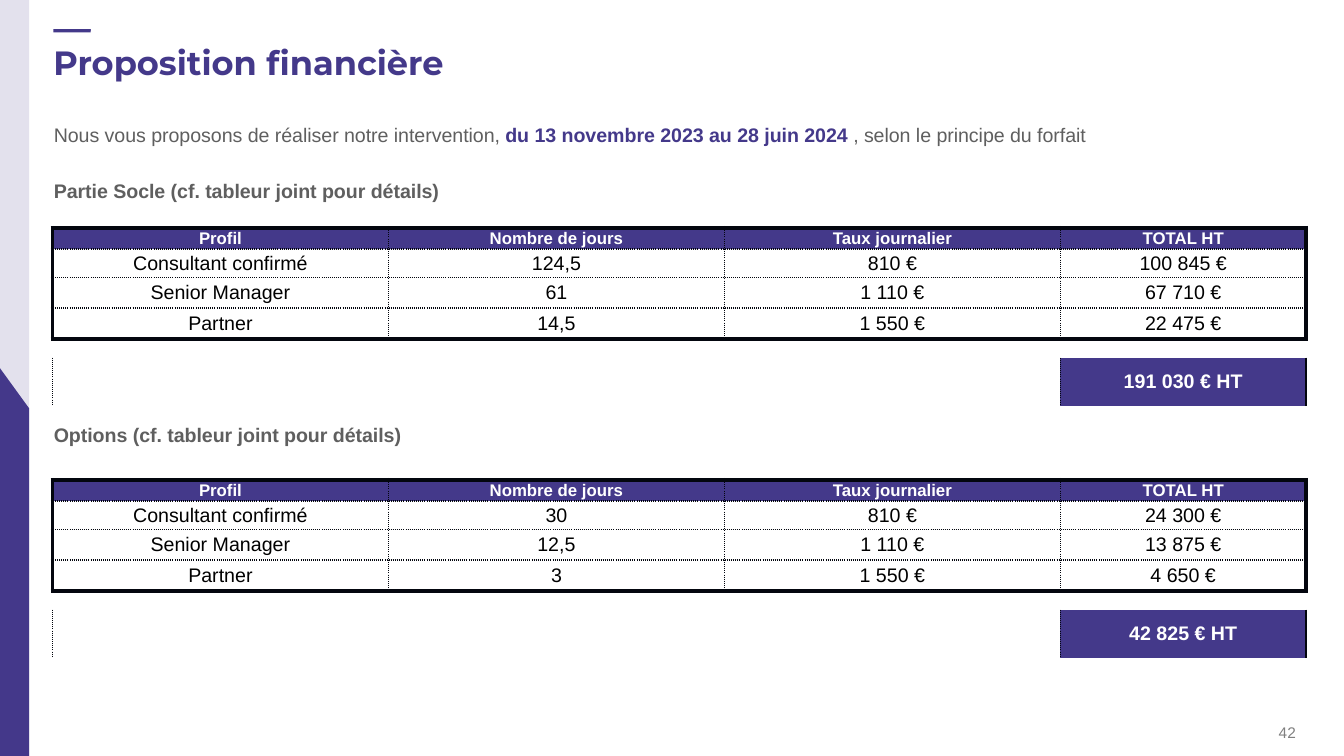
import pptx
import pptx.util
import pptx.dml.color
import pptx.enum.shapes
import pptx.enum.text
import pptx.oxml
import pptx.oxml.ns

Pt = pptx.util.Pt
SHAPES = pptx.enum.shapes.MSO_SHAPE
ALIGN = pptx.enum.text.PP_ALIGN
ANCHOR = pptx.enum.text.MSO_ANCHOR

COLORS = {"band": "44388A", "purple": "44398A", "grey": "5F5F5F", "pale": "808080",
          "ink": "03060E", "black": "000000", "white": "FFFFFF"}

TITLE = "Proposition financière"
PAGE = "42"
BODY = [
    (0, [("Nous vous proposons de réaliser notre intervention, ", "grey", False),
         ("du 13 novembre 2023 au 28 juin 2024 ", "purple", True),
         (", selon le principe du forfait", "grey", False)]),
    (21, [("Partie Socle (cf. tableur joint pour détails)", "grey", True)]),
    (155.8, [("Options (cf. tableur joint pour détails)", "grey", True)]),
]
HEADINGS = ["Profil", "Nombre de jours", "Taux journalier", "TOTAL HT"]
QUOTES = [
    {"top": 162.7, "total": "191 030 € HT", "profiles": [
        ["Consultant confirmé", "124,5", "810 €", "100 845 €"],
        ["Senior Manager", "61", "1 110 €", "67 710 €"],
        ["Partner", "14,5", "1 550 €", "22 475 €"]]},
    {"top": 342.7, "total": "42 825 € HT", "profiles": [
        ["Consultant confirmé", "30", "810 €", "24 300 €"],
        ["Senior Manager", "12,5", "1 110 €", "13 875 €"],
        ["Partner", "3", "1 550 €", "4 650 €"]]},
]
LEFT = 37.5
COLUMNS = [240, 240, 240, 175.5]
ROWS = [14.6, 20.2, 22, 22, 13.4, 34.5]
GAP_ROW, TOTAL_ROW, LAST_COL = 4, 5, 3
THICK, DOTTED = (3, "solid"), (1, "sysDot")

DECOR = [
    (SHAPES.RECTANGLE, (-0.7, -2.9, 21.6, 546.5), "band", 15, False),
    (SHAPES.FLOWCHART_MANUAL_INPUT, (-25.2, 228.2, 46.1, 317.5), "band", 100, True),
    (SHAPES.RECTANGLE, (45.4, 20.9, 19.4, 1.4), "purple", 100, False),
    (SHAPES.RECTANGLE, (38.2, 20.9, 26.6, 2.2), "purple", 100, False),
]


def rgb(name):
    """Return the named colour."""
    return pptx.dml.color.RGBColor.from_string(COLORS[name])


def apply(target, values):
    """Set each attribute of the target from a dict."""
    for key, value in values.items():
        setattr(target, key, value)


def add_run(paragraph, text, size, color, bold=False, font="Arial"):
    """Append a formatted run to a paragraph."""
    run = paragraph.add_run()
    run.text = text
    apply(run.font, {"size": Pt(size), "name": font, "bold": bold})
    run.font.color.rgb = rgb(color)
    return run


def add_box(slide, box, insets):
    """Add a wrapping text box and return its frame."""
    frame = slide.shapes.add_textbox(*map(Pt, box)).text_frame
    apply(frame, dict(zip(("margin_left", "margin_top", "margin_right", "margin_bottom"),
                          map(Pt, insets))))
    apply(frame, {"word_wrap": True, "vertical_anchor": ANCHOR.TOP})
    return frame


def add_decor(slide, preset, box, color, opacity, flipped):
    """Add a plain filled shape."""
    shape = slide.shapes.add_shape(preset, *map(Pt, box))
    shape.shadow.inherit = False
    shape.fill.solid()
    shape.fill.fore_color.rgb = rgb(color)
    shape.line.fill.background()
    if opacity < 100:
        tint = shape.fill._xPr.find(".//" + pptx.oxml.ns.qn("a:srgbClr"))
        tint.append(pptx.oxml.parse_xml(
            f'<a:alpha {pptx.oxml.ns.nsdecls("a")} val="{opacity * 1000}"/>'))
    if flipped:
        shape._element.spPr.xfrm.set("flipH", "1")


def borders(row, col):
    """Return the left, right, top and bottom borders of a cell."""
    if row == GAP_ROW:
        return None, None, THICK, None
    if row == TOTAL_ROW:
        return DOTTED, (2.25, "solid") if col == LAST_COL else DOTTED, None, None
    return (THICK if col == 0 else DOTTED, THICK if col == LAST_COL else DOTTED,
            THICK if row == 0 else DOTTED, THICK if row == GAP_ROW - 1 else DOTTED)


def draw_borders(cell, edges):
    """Write the four borders of a cell."""
    properties = cell._tc.get_or_add_tcPr()
    for side, edge in zip("LRTB", edges):
        width, dash = edge or (0, "solid")
        paint = (f'<a:solidFill><a:srgbClr val="{COLORS["ink"]}"/></a:solidFill>'
                 f'<a:prstDash val="{dash}"/>' if edge else "<a:noFill/>")
        properties.append(pptx.oxml.parse_xml(
            f'<a:ln{side} {pptx.oxml.ns.nsdecls("a")} w="{int(Pt(width))}">{paint}</a:ln{side}>'))


def fill_cell(cell, row, col, text):
    """Format one cell of a quote table."""
    apply(cell, {"margin_left": Pt(0.7), "margin_right": Pt(0.7), "margin_top": Pt(0.7),
                 "margin_bottom": Pt(0), "vertical_anchor": ANCHOR.MIDDLE})
    draw_borders(cell, borders(row, col))
    strong = row == 0 or (row == TOTAL_ROW and col == LAST_COL)
    if strong or row >= GAP_ROW:
        cell.fill.solid()
        cell.fill.fore_color.rgb = rgb("purple" if strong else "white")
    else:
        cell.fill.background()
    paragraph = cell.text_frame.paragraphs[0]
    paragraph.alignment = ALIGN.CENTER
    if text:
        add_run(paragraph, text, 12 if row == 0 else 14, "white" if strong else "black", strong)
    else:
        paragraph._p.append(pptx.oxml.parse_xml(
            f'<a:endParaRPr {pptx.oxml.ns.nsdecls("a")} sz="800"/>'))


def add_quote(slide, quote):
    """Add a quote table with its total."""
    content = [HEADINGS, *quote["profiles"], [""] * 4, ["", "", "", quote["total"]]]
    table = slide.shapes.add_table(len(ROWS), len(COLUMNS), Pt(LEFT), Pt(quote["top"]),
                                   Pt(sum(COLUMNS)), Pt(sum(ROWS))).table
    apply(table, {"first_row": False, "horz_banding": False})
    for column, width in zip(table.columns, COLUMNS):
        column.width = Pt(width)
    for line, height in zip(table.rows, ROWS):
        line.height = Pt(height)
    for row, texts in enumerate(content):
        for col, text in enumerate(texts):
            fill_cell(table.cell(row, col), row, col, text)
    for row in (GAP_ROW, TOTAL_ROW):
        table.cell(row, 0).merge(table.cell(row, LAST_COL - 1))


def main():
    """Build the financial proposal slide."""
    deck = pptx.Presentation()
    apply(deck, {"slide_width": Pt(960), "slide_height": Pt(540)})
    slide = deck.slides.add_slide(deck.slide_layouts[6])
    for decor in DECOR:
        add_decor(slide, *decor)
    page = add_box(slide, (909.4, 516.2, 20.2, 13.7), (0, 0, 0, 0)).paragraphs[0]
    page.alignment = ALIGN.CENTER
    add_run(page, PAGE, 11, "pale")
    title = add_box(slide, (31, 23, 779.8, 32.4), (7.2, 7.2, 7.2, 7.2)).paragraphs[0]
    add_run(title, TITLE, 24, "purple", True, "Montserrat")
    body = add_box(slide, (LEFT, 85.7, 896, 234.7), (0.9, 0.7, 0, 0))
    for index, (space, runs) in enumerate(BODY):
        paragraph = body.paragraphs[0] if index == 0 else body.add_paragraph()
        paragraph.line_spacing = 1.1
        if space:
            paragraph.space_before = Pt(space)
        for text, color, bold in runs:
            add_run(paragraph, text, 14, color, bold)._r.get_or_add_rPr().set("spc", "-5")
    for quote in QUOTES:
        add_quote(slide, quote)
    deck.save("out.pptx")


if __name__ == "__main__":
    main()
